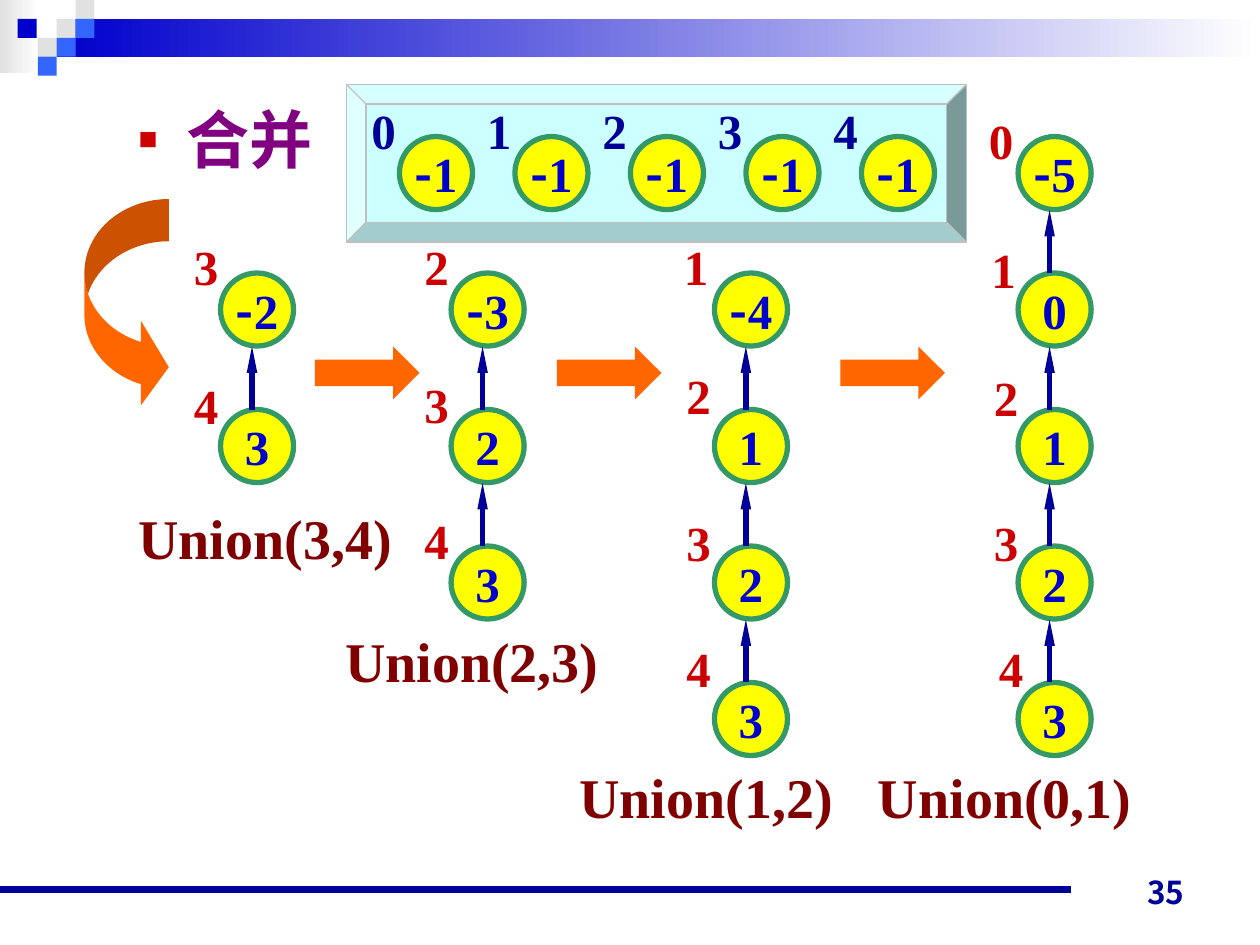
from lxml import etree
from pptx import Presentation
from pptx.dml.color import RGBColor
from pptx.enum.shapes import MSO_CONNECTOR as Link, MSO_SHAPE as Kind
from pptx.enum.text import MSO_ANCHOR as Anchor, MSO_AUTO_SIZE as Auto, PP_ALIGN as Align
from pptx.oxml.ns import qn
from pptx.util import Inches, Pt

HUES = {
    "navy": "000099", "blue": "0000CC", "sky": "3366FF", "grey": "E1E1E1",
    "white": "FFFFFF", "cyan": "CCFFFF", "silver": "C0C0C0", "yellow": "FFFF00",
    "green": "339966", "red": "CC0000", "maroon": "800000", "purple": "800080",
    "orange": "FF6600",
}
SERIF = "Times New Roman"
SANS = "Noto Sans CJK SC"
SIDE = 0.58
STEP = 13 / 12
TILES = [
    (0.45, 0.15, "grey"), (0.6, 0, "grey"), (0.6, 0.15, "sky"), (0.3, 0.3, "grey"),
    (0.14, 0.15, "blue"), (0.45, 0.3, "sky"), (0.3, 0.45, "sky"),
]
TREES = [
    (1.75, 1, ["-2", "3"], [(1.44, 1.83), (1.44, 2.93)], "Union(3,4)", (1, 3.95)),
    (3.58, 1, ["-3", "2", "3"], [(3.27, 1.83), (3.27, 2.92), (3.27, 4)],
     "Union(2,3)", (2.64, 4.92)),
    (5.67, 1, ["-4", "1", "2", "3"],
     [(5.33, 1.83), (5.35, 2.85), (5.35, 4.02), (5.35, 5.02)], "Union(1,2)", (4.5, 6)),
    (8.08, 0, ["-5", "0", "1", "2", "3"],
     [(7.75, 0.83), (7.77, 1.85), (7.79, 2.87), (7.79, 4.02), (7.83, 5.02)],
     "Union(0,1)", (6.87, 6)),
]


def hue(name):
    """Return the named colour."""
    return RGBColor.from_string(HUES[name])


def style(run, size, color, font):
    """Format a run in bold."""
    run.font.size = Pt(size)
    run.font.bold = True
    run.font.name = font
    run.font.color.rgb = hue(color)


def shape(slide, kind, box, fill, line=None, width=1, adj=()):
    """Add a preset shape with a solid fill."""
    item = slide.shapes.add_shape(kind, *map(Inches, box))
    item.shadow.inherit = False
    item.fill.solid()
    item.fill.fore_color.rgb = hue(fill)
    if line:
        item.line.color.rgb = hue(line)
        item.line.width = Pt(width)
    else:
        item.line.fill.background()
    for i, value in enumerate(adj):
        item.adjustments[i] = value
    return item


def fade(slide, box, start):
    """Add a bar that fades to white."""
    fill = shape(slide, Kind.RECTANGLE, box, start).fill
    fill.gradient()
    fill.gradient_angle = 0
    for stop, name, spot in zip(fill.gradient_stops, (start, "white"), (0, 1)):
        stop.color.rgb = hue(name)
        stop.position = spot


def line(slide, start, end, width, arrow=False):
    """Add a straight line, with an arrowhead at its end if asked."""
    item = slide.shapes.add_connector(Link.STRAIGHT, *map(Inches, start + end))
    item.line.color.rgb = hue("navy")
    item.line.width = Pt(width)
    if arrow:
        etree.SubElement(item.line._get_or_add_ln(), qn("a:tailEnd"),
                         type="triangle", w="sm", len="lg")
    etree.SubElement(item._element.spPr, qn("a:effectLst"))


def label(slide, text, box, size, color, font=SERIF):
    """Add a one-line text box."""
    item = slide.shapes.add_textbox(*map(Inches, box))
    frame = item.text_frame
    frame.word_wrap = False
    frame.auto_size = Auto.SHAPE_TO_FIT_TEXT
    frame.text = text
    style(frame.paragraphs[0].runs[0], size, color, font)
    return frame


def digit(slide, text, spot, color):
    """Add an index beside a node."""
    label(slide, text, (*spot, 0.4, 0.57), 28, color)


def node(slide, text, left, top):
    """Add a round node holding a number."""
    item = shape(slide, Kind.OVAL, (left, top, SIDE, SIDE), "yellow", "green", 3)
    frame = item.text_frame
    frame.word_wrap = False
    frame.vertical_anchor = Anchor.MIDDLE
    para = frame.paragraphs[0]
    para.alignment = Align.CENTER
    for char in text:
        run = para.add_run()
        run.text = char
        style(run, 28, "blue", SANS if char == "-" else SERIF)


def tree(slide, left, row, values, spots, name, place):
    """Add a chain of nodes with indices, arrows and a caption."""
    first = 5 - len(values)
    for i, (value, spot) in enumerate(zip(values, spots)):
        top = STEP * (row + i + 1)
        node(slide, value, left, top)
        digit(slide, str(first + i), spot, "red")
        if i:
            line(slide, (left + 0.25, top), (left + 0.25, top - 0.5), 3, True)
    label(slide, name, (*place, 2.26, 0.63), 32, "maroon")


def bullet(slide, text):
    """Fill the body placeholder with one bulleted line."""
    body = slide.placeholders[1]
    body.left, body.top, body.width, body.height = map(Inches, (1, 0.75, 8.08, 4.5))
    body.text_frame.text = text
    para = body.text_frame.paragraphs[0]
    props = para._p.get_or_add_pPr()
    props.set("marL", str(Inches(0.38)))
    props.set("indent", str(-Inches(0.38)))
    tint = etree.SubElement(props, qn("a:buClr"))
    etree.SubElement(tint, qn("a:srgbClr"), val=HUES["red"])
    etree.SubElement(props, qn("a:buSzPct"), val="50000")
    etree.SubElement(props, qn("a:buFont"), typeface="Arial")
    etree.SubElement(props, qn("a:buChar"), char="■")
    style(para.runs[0], 36, "purple", "Arial")


def frame(slide):
    """Add the top band, the footer line and the page number."""
    fade(slide, (0, 0, 0.31, 0.58), "grey")
    fade(slide, (0.45, 0.15, 9.55, 0.3), "blue")
    for left, top, color in TILES:
        shape(slide, Kind.RECTANGLE, (left, top, 0.15, 0.15), color)
    line(slide, (0, 7.06), (8.5, 7.06), 4.5)
    page = label(slide, "35", (7.17, 6.78, 2.33, 0.5), 18, "navy", "Noto Sans CJK JP")
    page.word_wrap = True
    page.auto_size = Auto.NONE
    page.vertical_anchor = Anchor.BOTTOM
    page.paragraphs[0].alignment = Align.RIGHT


def main():
    """Build and save the slide."""
    deck = Presentation()
    deck.slide_width, deck.slide_height = Inches(10), Inches(7.5)
    slide = deck.slides.add_slide(deck.slide_layouts[1])
    title = slide.shapes.title._element
    title.getparent().remove(title)
    frame(slide)
    bullet(slide, "合并")
    shape(slide, Kind.BEVEL, (2.75, 0.67, 4.92, 1.25), "cyan", "silver", 0.75, [0.125])
    for i in range(5):
        shift = i * 11 / 12
        node(slide, "-1", 3.17 + shift, STEP)
        digit(slide, str(i), (2.85 + shift, 0.75), "navy")
    for item in TREES:
        tree(slide, *item)
    for left in (2.5, 4.42, 6.67):
        shape(slide, Kind.RIGHT_ARROW, (left, 2.75, 0.83, 0.42), "orange")
    shape(slide, Kind.CURVED_RIGHT_ARROW, (0.67, 1.58, 0.67, 1.67), "orange",
          adj=[0.5, 1, 0.33])
    deck.save("out.pptx")


if __name__ == "__main__":
    main()
